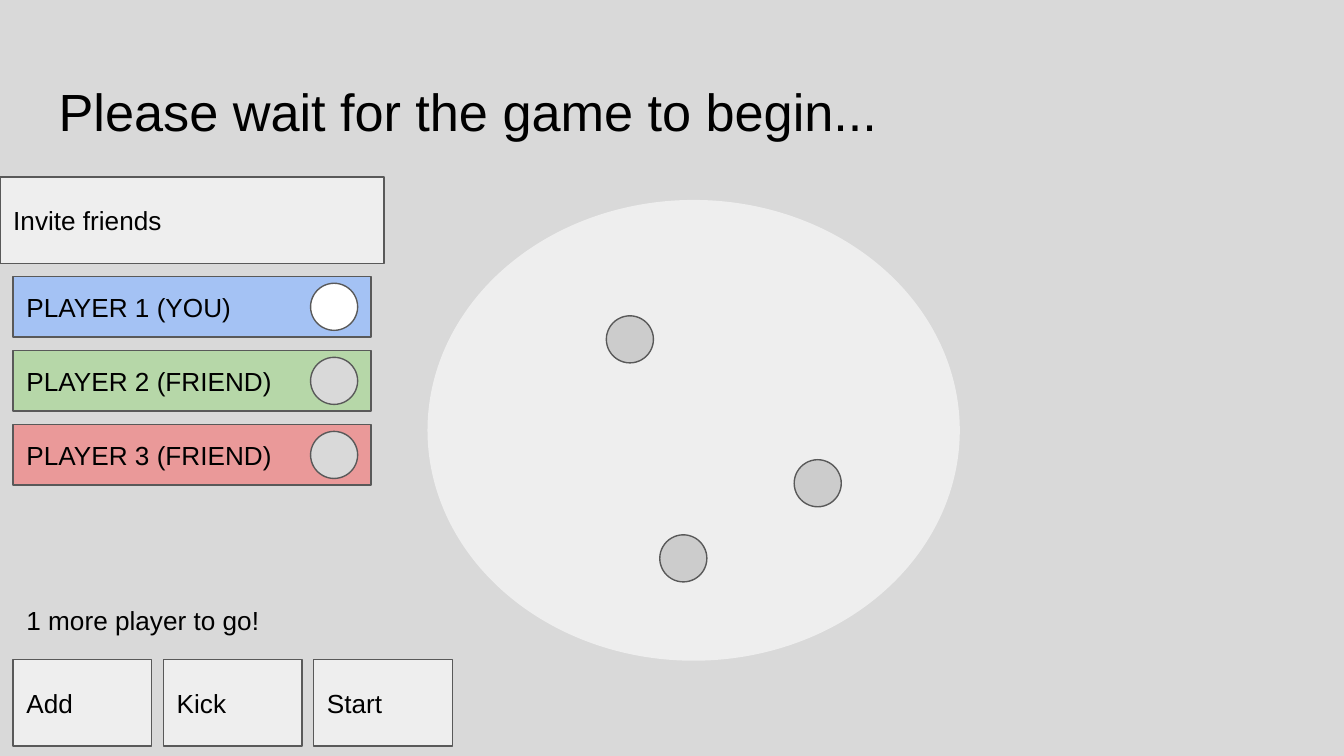
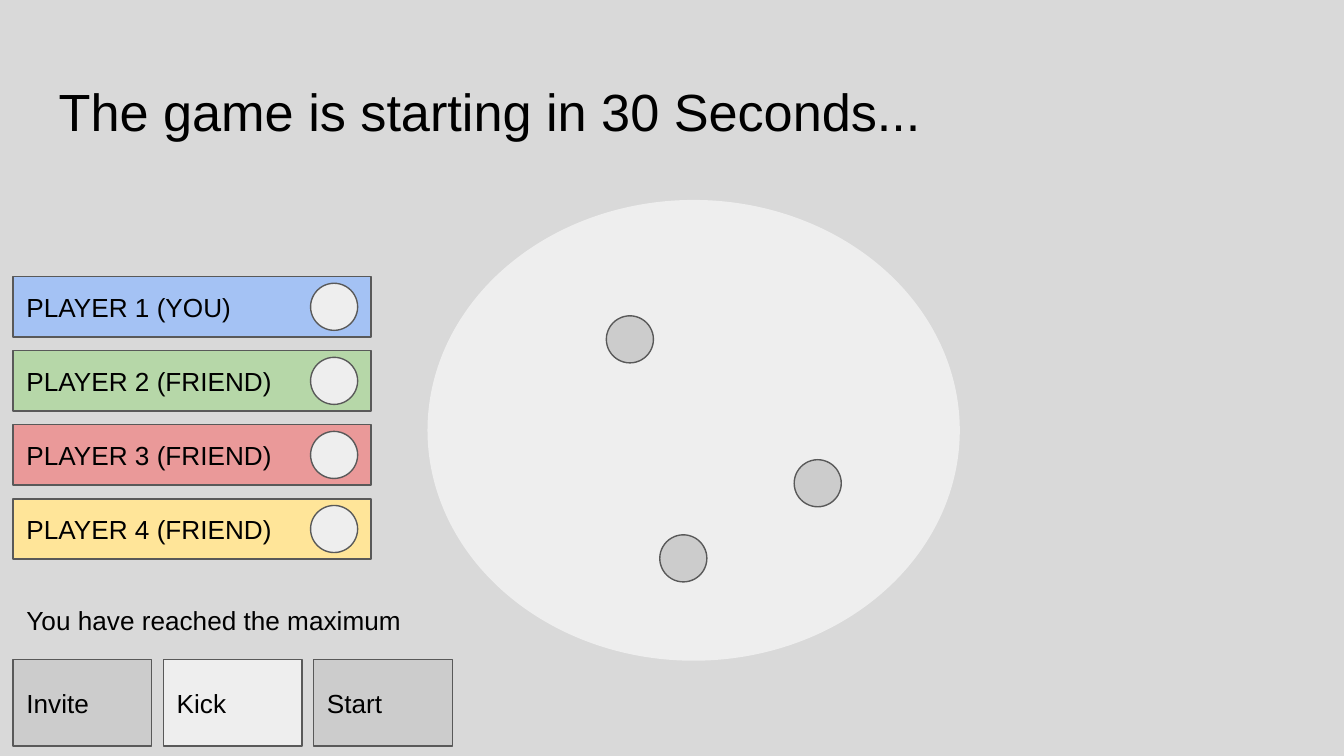
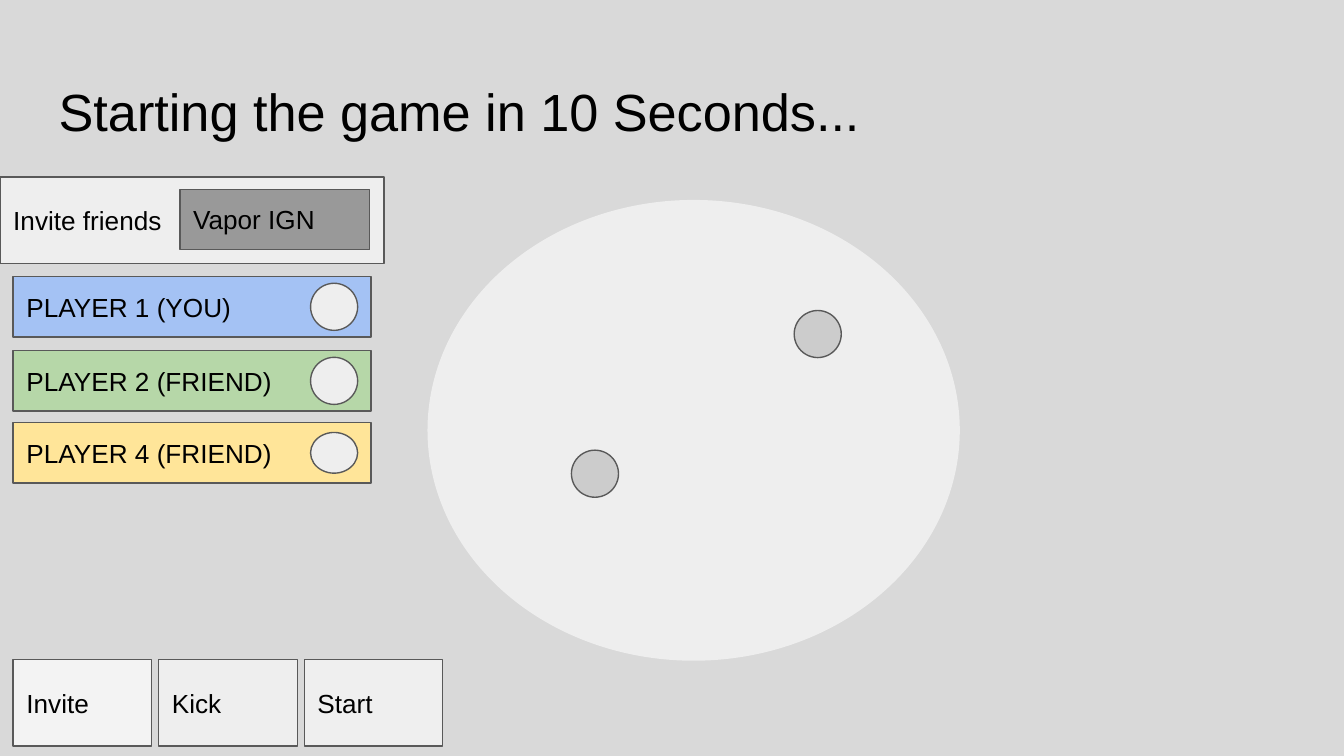
"""Build three game lobby screens: waiting, full and about to start."""
from pptx import Presentation
from pptx.dml.color import RGBColor
from pptx.enum import shapes, text
from pptx.util import Cm, Pt

COLORS = {
    "background": "D9D9D9",
    "panel": "EEEEEE",
    "start": "EFEFEF",
    "bright": "F3F3F3",
    "muted": "CCCCCC",
    "field": "999999",
    "white": "FFFFFF",
    "outline": "595959",
    "ink": "000000",
    "blue": "A4C2F4",
    "green": "B6D7A8",
    "red": "EA9999",
    "yellow": "FFE599",
}
FONT = "Arial"
INSET = 0.25
RECTANGLE = shapes.MSO_SHAPE.RECTANGLE
OVAL = shapes.MSO_SHAPE.OVAL

ROW_LEFT, ROW_WIDTH, ROW_HEIGHT = 0.25, 6.76, 1.14
TOKEN_LEFT, TOKEN_SIZE = 5.87, 0.89
BUTTON_TOP, BUTTON_WIDTH, BUTTON_HEIGHT = 12.47, 2.62, 1.63

PLAYERS = {
    1: ("PLAYER 1 (YOU)", "blue"),
    2: ("PLAYER 2 (FRIEND)", "green"),
    3: ("PLAYER 3 (FRIEND)", "red"),
    4: ("PLAYER 4 (FRIEND)", "yellow"),
}
THREE_TOKENS = [(15.01, 8.69), (12.47, 10.11), (11.46, 5.97)]

# Player rows: number, top, token fill, token height
SCREENS = [
    {
        "title": "Please wait for the game to begin...",
        "invite": True,
        "rows": [(1, 5.23, "white", TOKEN_SIZE), (2, 6.63, "background", TOKEN_SIZE),
                 (3, 8.03, "background", TOKEN_SIZE)],
        "status": ("1 more player to go!", 5.46),
        "buttons": [("Add", "panel"), ("Kick", "panel"), ("Start", "panel")],
        "button_pitch": 2.84,
        "arena_tokens": THREE_TOKENS,
    },
    {
        "title": "The game is starting in 30 Seconds...",
        "invite": False,
        "rows": [(number, 5.23 + 1.4 * (number - 1), "panel", TOKEN_SIZE) for number in PLAYERS],
        "status": ("You have reached the maximum", 8.1),
        "buttons": [("Invite", "muted"), ("Kick", "panel"), ("Start", "muted")],
        "button_pitch": 2.84,
        "arena_tokens": THREE_TOKENS,
    },
    {
        "title": "Starting the game in 10 Seconds...",
        "invite": True,
        "field": "Vapor IGN",
        "rows": [(1, 5.23, "panel", TOKEN_SIZE), (2, 6.63, "panel", TOKEN_SIZE),
                 (4, 7.99, "panel", 0.77)],
        "buttons": [("Invite", "bright"), ("Kick", "panel"), ("Start", "start")],
        "button_pitch": 2.75,
        "arena_tokens": [(10.8, 8.51), (15.01, 5.87)],
    },
]


def write_text(shape, wording, size, anchor):
    text_frame = shape.text_frame
    text_frame.text = wording
    text_frame.word_wrap = True
    text_frame.auto_size = text.MSO_AUTO_SIZE.NONE
    text_frame.vertical_anchor = anchor
    text_frame.margin_left = text_frame.margin_right = Cm(INSET)
    text_frame.margin_top = text_frame.margin_bottom = Cm(INSET)
    paragraph = text_frame.paragraphs[0]
    paragraph.alignment = text.PP_ALIGN.LEFT
    font = paragraph.runs[0].font
    font.name, font.size = FONT, Pt(size)
    font.color.rgb = RGBColor.from_string(COLORS["ink"])


def add_box(slide, kind, left, top, width, height, fill, label=None, outlined=True):
    shape = slide.shapes.add_shape(kind, Cm(left), Cm(top), Cm(width), Cm(height))
    shape.shadow.inherit = False
    shape.fill.solid()
    shape.fill.fore_color.rgb = RGBColor.from_string(COLORS[fill])
    if outlined:
        shape.line.color.rgb = RGBColor.from_string(COLORS["outline"])
        shape.line.width = Pt(0.75)
    else:
        shape.line.fill.background()
    if label:
        write_text(shape, label, 14, text.MSO_ANCHOR.MIDDLE)


presentation = Presentation()
presentation.slide_width, presentation.slide_height = Cm(25.4), Cm(14.29)
background = presentation.slide_master.background.fill
background.solid()
background.fore_color.rgb = RGBColor.from_string(COLORS["background"])

for screen in SCREENS:
    slide = presentation.slides.add_slide(presentation.slide_layouts[5])
    title = slide.shapes.title
    title.left, title.top, title.width, title.height = Cm(0.86), Cm(1.24), Cm(23.67), Cm(1.6)
    write_text(title, screen["title"], 28, text.MSO_ANCHOR.TOP)

    add_box(slide, OVAL, 8.08, 3.78, 10.06, 8.71, "panel", outlined=False)
    for left, top in screen["arena_tokens"]:
        add_box(slide, OVAL, left, top, TOKEN_SIZE, TOKEN_SIZE, "muted")

    if screen["invite"]:
        add_box(slide, RECTANGLE, 0, 3.35, 7.26, 1.63, "panel", "Invite friends")
    if "field" in screen:
        add_box(slide, RECTANGLE, 3.4, 3.58, 3.59, ROW_HEIGHT, "field", screen["field"])

    for number, top, token_fill, token_height in screen["rows"]:
        label, fill = PLAYERS[number]
        add_box(slide, RECTANGLE, ROW_LEFT, top, ROW_WIDTH, ROW_HEIGHT, fill, label)
        token_top = top + (ROW_HEIGHT - token_height) / 2
        add_box(slide, OVAL, TOKEN_LEFT, token_top, TOKEN_SIZE, token_height, token_fill)

    if "status" in screen:
        wording, width = screen["status"]
        status = slide.shapes.add_textbox(Cm(ROW_LEFT), Cm(11.15), Cm(width), Cm(ROW_HEIGHT))
        write_text(status, wording, 14, text.MSO_ANCHOR.MIDDLE)

    for index, (label, fill) in enumerate(screen["buttons"]):
        left = ROW_LEFT + index * screen["button_pitch"]
        add_box(slide, RECTANGLE, left, BUTTON_TOP, BUTTON_WIDTH, BUTTON_HEIGHT, fill, label)

presentation.save("out.pptx")
